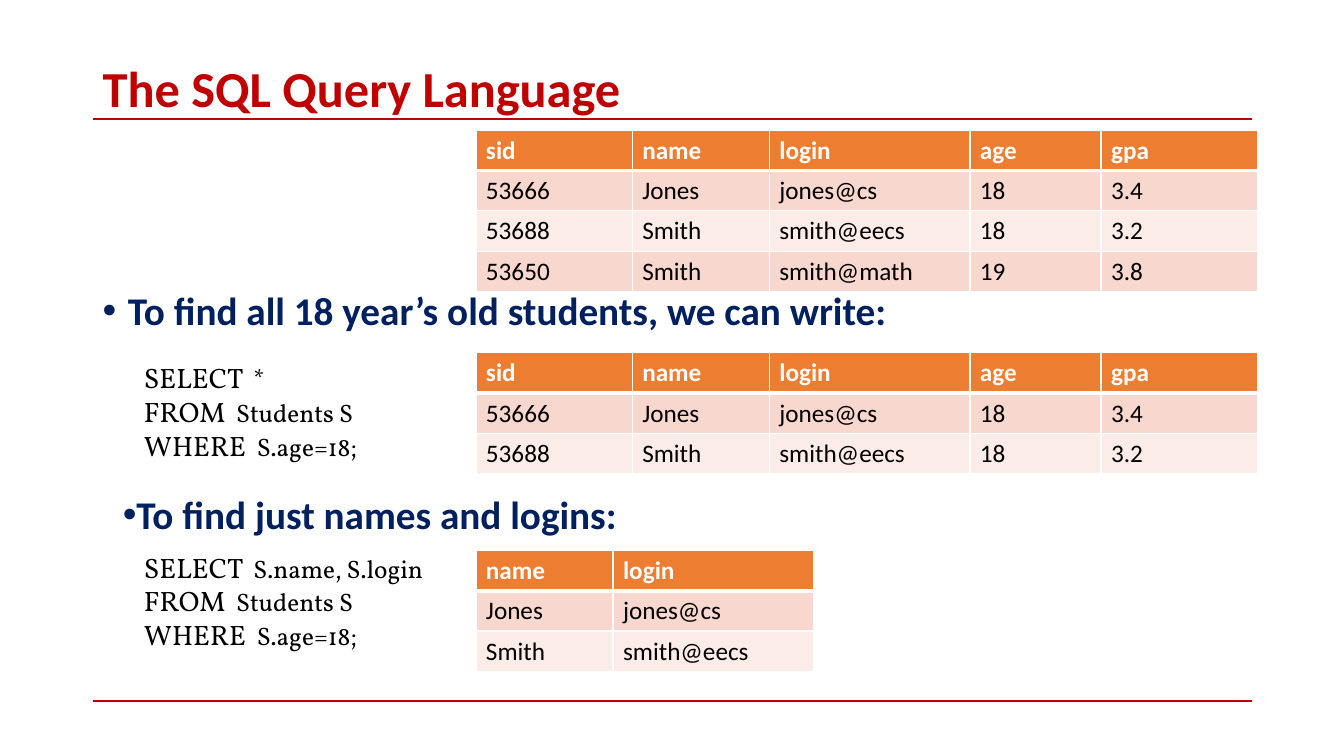
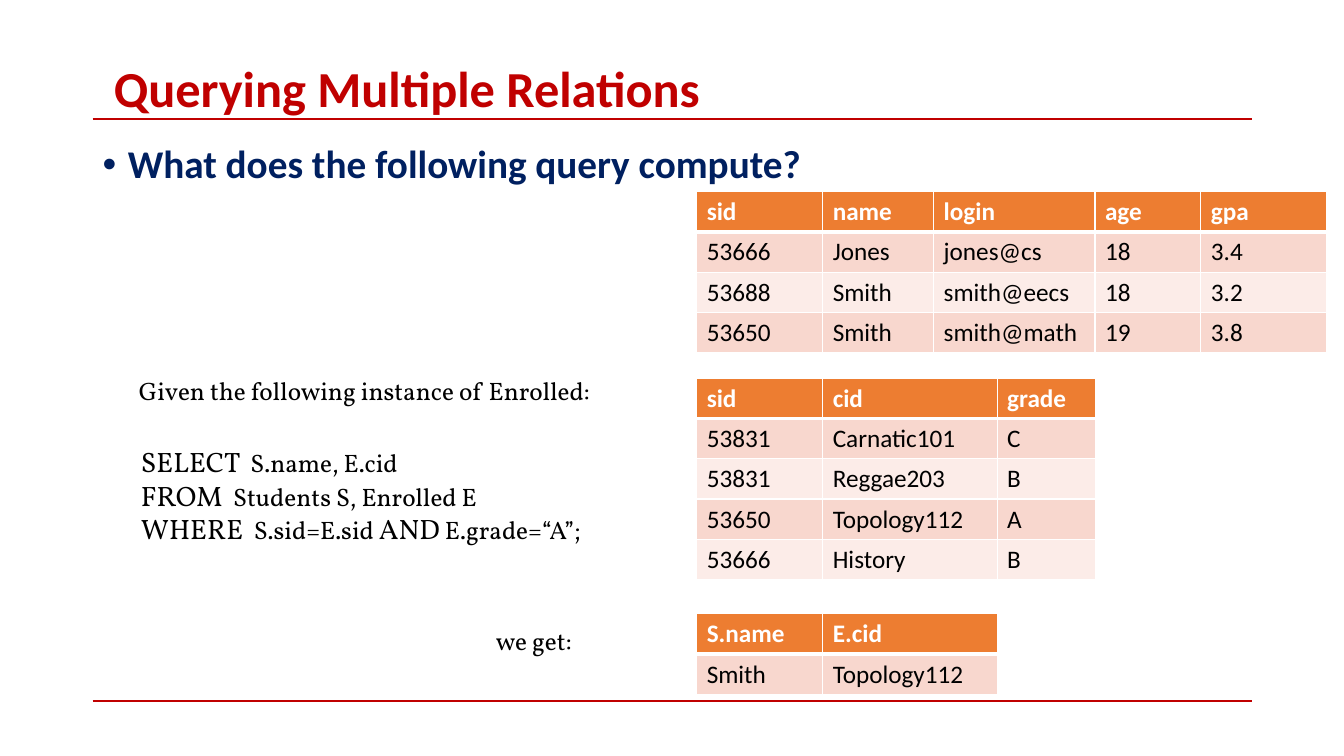
"""Builds two slides on SQL queries with sample relations and results."""
from dataclasses import dataclass

from lxml import etree
from pptx import Presentation
from pptx.dml.color import RGBColor
from pptx.enum.shapes import MSO_CONNECTOR
from pptx.enum.text import MSO_ANCHOR
from pptx.oxml.ns import qn
from pptx.util import Inches, Pt

STRAIGHT = MSO_CONNECTOR.STRAIGHT
TOP, MIDDLE = MSO_ANCHOR.TOP, MSO_ANCHOR.MIDDLE


@dataclass(frozen=True)
class Theme:
    red: str = "C00000"
    header: str = "ED7D31"
    bands: tuple = ("F8D7CE", "FCECE8")
    border: str = "FFFFFF"
    title: tuple = ("Calibri", 36, "C00000", True)
    bullet: tuple = ("Calibri", 28, "002060", True)
    keyword: tuple = ("Vollkorn", 20, "000000", False)
    code: tuple = ("Vollkorn", 18, "000000", False)
    head_cell: tuple = ("Calibri", 18, "FFFFFF", True)
    cell: tuple = ("Calibri", 18, "000000", False)


THEME = Theme()
LEFT, RIGHT = 0.92, 12.42
RULES = (1.18, 6.95)
ROW_HEIGHT = 0.4

STUDENTS = [
    ("sid", "name", "login", "age", "gpa"),
    ("53666", "Jones", "jones@cs", "18", "3.4"),
    ("53688", "Smith", "smith@eecs", "18", "3.2"),
    ("53650", "Smith", "smith@math", "19", "3.8"),
]
ADULTS = STUDENTS[:3]
LOGINS = [row[1:3] for row in ADULTS]
ENROLLED = [
    ("sid", "cid", "grade"),
    ("53831", "Carnatic101", "C"),
    ("53831", "Reggae203", "B"),
    ("53650", "Topology112", "A"),
    ("53666", "History", "B"),
]
GRADE_A = [("S.name", "E.cid"), ("Smith", "Topology112")]

WIDE = (1.55, 1.36, 1.99, 1.3, 1.55)
NARROW = (1.25, 1.1, 1.6, 1.05, 1.25)
COURSES = (1.25, 1.73, 0.98)

KEYWORD, CODE = THEME.keyword, THEME.code
FROM_STUDENTS = [("FROM ", KEYWORD), (" Students S", CODE)]
WHERE_AGE = [("WHERE ", KEYWORD), (" S.age=18;", CODE)]

SLIDES = [
    {
        "title": ("The SQL Query Language", LEFT),
        "bullets": [
            ("To find all 18 year’s old students, we can write:", LEFT, 2.84, 11.5, 0.25, 0.9, 10),
            ("To find just names and logins:", 1.12, 4.82, 5.5, 0, 1, 0),
        ],
        "texts": [
            (1.33, 3.53, 3.26, 1.11, [[("SELECT ", KEYWORD), (" *", CODE)], FROM_STUDENTS, WHERE_AGE]),
            (1.33, 5.41, 3.26, 1.41,
             [[("SELECT ", KEYWORD), (" S.name, S.login", CODE)], FROM_STUDENTS, WHERE_AGE]),
        ],
        "tables": [
            (4.72, 1.29, WIDE, STUDENTS),
            (4.72, 3.5, WIDE, ADULTS),
            (4.72, 5.46, WIDE[1:3], LOGINS),
        ],
    },
    {
        "title": ("Querying Multiple Relations", 1.03),
        "bullets": [("What does the following query compute?", LEFT, 1.39, 11.5, 0.25, 0.9, 10)],
        "texts": [
            (1.3, 4.36, 4.92, 1.11, [
                [("SELECT ", KEYWORD), (" S.name, E.cid", CODE)],
                [("FROM ", KEYWORD), (" Students S, Enrolled E", CODE)],
                [("WHERE ", KEYWORD), (" S.sid=E.sid ", CODE), ("AND", KEYWORD), (" E.grade=“A”;", CODE)],
            ]),
            (1.28, 3.67, 4.9, 0.4, [[("Given the following instance of Enrolled:", CODE)]]),
            (4.82, 6.15, 1.2, 0.4, [[("we get:", CODE)]]),
        ],
        "tables": [
            (6.91, 1.9, NARROW, STUDENTS),
            (6.91, 3.75, COURSES, ENROLLED),
            (6.91, 6.09, COURSES[:2], GRADE_A),
        ],
    },
]


def write_paragraph(paragraph, runs):
    """Add styled runs to a paragraph."""
    for text, (name, size, color, bold) in runs:
        run = paragraph.add_run()
        run.text = text
        run.font.name = name
        run.font.size = Pt(size)
        run.font.bold = bold
        run.font.color.rgb = RGBColor.from_string(color)


def add_text(slide, left, top, width, height, lines, anchor=TOP):
    """Add a wrapping text box and return its paragraphs."""
    box = slide.shapes.add_textbox(Inches(left), Inches(top), Inches(width), Inches(height))
    frame = box.text_frame
    frame.word_wrap = True
    frame.vertical_anchor = anchor
    for index, runs in enumerate(lines):
        paragraph = frame.add_paragraph() if index else frame.paragraphs[0]
        write_paragraph(paragraph, runs)
    return frame.paragraphs


presentation = Presentation()
presentation.slide_width = Inches(13.33)
presentation.slide_height = Inches(7.5)
blank_layout = presentation.slide_layouts[6]

for content in SLIDES:
    slide = presentation.slides.add_slide(blank_layout)

    for y in RULES:
        rule = slide.shapes.add_connector(STRAIGHT, Inches(LEFT), Inches(y), Inches(RIGHT), Inches(y))
        rule.line.color.rgb = RGBColor.from_string(THEME.red)
        rule.line.width = Pt(1.5)
        etree.SubElement(rule._element.spPr, qn("a:effectLst"))

    title, title_left = content["title"]
    paragraphs = add_text(slide, title_left, 0.61, RIGHT - title_left, 0.58, [[(title, THEME.title)]], MIDDLE)
    paragraphs[0].line_spacing = 0.9

    for text, left, top, width, hanging, spacing, before in content["bullets"]:
        paragraph = add_text(slide, left, top, width, 0.57, [[(text, THEME.bullet)]])[0]
        paragraph.line_spacing = spacing
        paragraph.space_before = Pt(before)
        properties = paragraph._p.get_or_add_pPr()
        properties.set("marL", str(Inches(hanging)))
        properties.set("indent", str(-Inches(hanging)))
        etree.SubElement(properties, qn("a:buFont"), typeface="Arial")
        etree.SubElement(properties, qn("a:buChar"), char="•")

    for text_block in content["texts"]:
        add_text(slide, *text_block)

    for left, top, widths, rows in content["tables"]:
        table = slide.shapes.add_table(
            len(rows), len(widths), Inches(left), Inches(top),
            Inches(sum(widths)), Inches(ROW_HEIGHT * len(rows))).table
        for column, width in zip(table.columns, widths):
            column.width = Inches(width)
        for row_index, row in enumerate(rows):
            is_header = row_index == 0
            fill = THEME.header if is_header else THEME.bands[(row_index - 1) % 2]
            style = THEME.head_cell if is_header else THEME.cell
            for column_index, text in enumerate(row):
                cell = table.cell(row_index, column_index)
                write_paragraph(cell.text_frame.paragraphs[0], [(text, style)])
                cell_properties = cell._tc.get_or_add_tcPr()
                for side in ("L", "R", "T", "B"):
                    heavy = (is_header and side == "B") or (row_index == 1 and side == "T")
                    border = etree.SubElement(cell_properties, qn(f"a:ln{side}"), w=str(Pt(3 if heavy else 1)))
                    border_fill = etree.SubElement(border, qn("a:solidFill"))
                    etree.SubElement(border_fill, qn("a:srgbClr"), val=THEME.border)
                cell.fill.solid()
                cell.fill.fore_color.rgb = RGBColor.from_string(fill)

presentation.save("out.pptx")
